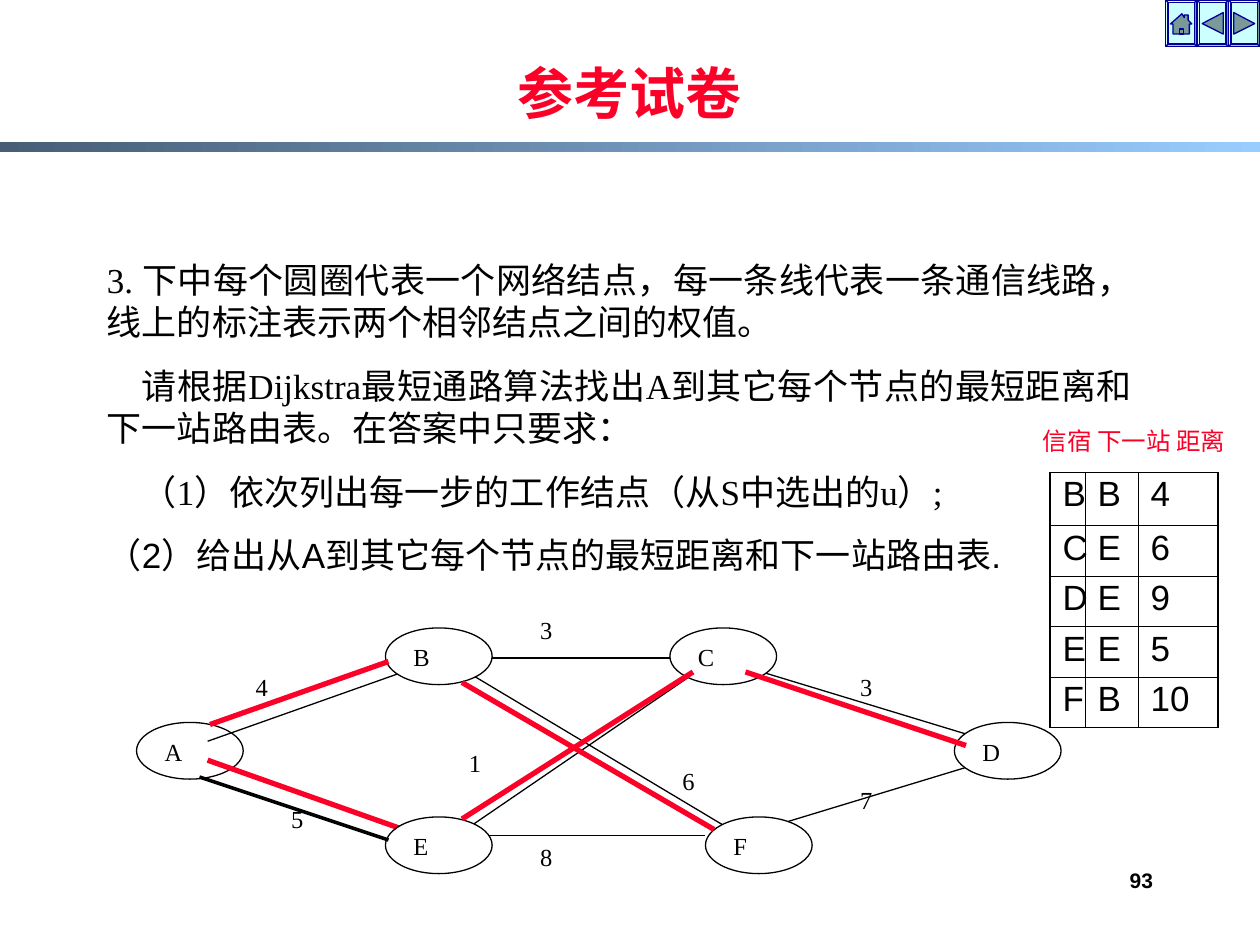
from lxml.etree import SubElement as Sub
from pptx import Presentation
from pptx.dml.color import RGBColor as Rgb
from pptx.enum.shapes import MSO_CONNECTOR as Conn, MSO_SHAPE as Kind
from pptx.enum.text import MSO_ANCHOR as Anchor, PP_ALIGN as Align
from pptx.oxml.ns import qn
from pptx.util import Pt

THEME = {
    "black": "000000", "white": "FFFFFF", "red": "FC0128",
    "dark": "475E76", "light": "99CCFF",
    "key": "CCFFFF", "navy": "000099", "icon": "7A9999",
    "sans": "Arial", "serif": "Times New Roman",
    "head": 32, "body": 20, "small": 14, "page": 12,
    "thin": 0.75, "bold": 2, "thick": 3, "inner": 0.45, "outer": 1.08,
}

TITLE = "参考试卷"
PAGE = "93"
BODY = [
    ("3. 下中每个圆圈代表一个网络结点，每一条线代表一条通信线路，线上的标注表示两个相邻结点之间的权值。", "serif", Align.JUSTIFY, 0),
    ("请根据Dijkstra最短通路算法找出A到其它每个节点的最短距离和下一站路由表。在答案中只要求：", "serif", Align.JUSTIFY, 20),
    ("（1）依次列出每一步的工作结点（从S中选出的u）;", "serif", Align.JUSTIFY, 20),
    ("（2）给出从A到其它每个节点的最短距离和下一站路由表.", "sans", Align.LEFT, 0),
]
HEADS = "信宿 下一站 距离"
ROUTES = [("B", "B", "4"), ("C", "E", "6"), ("D", "E", "9"), ("E", "E", "5"), ("F", "B", "10")]
COLS = [20, 30.3, 45.9]
ROWS = [30.4, 28.6, 28.6, 28.6, 28.6]

WEIGHTS = [
    ("4", 3, 3, 3, 3), ("3", 11, 0, 3, 3), ("3", 20, 3, 3, 3), ("5", 4, 10, 3, 3),
    ("8", 11, 12, 3, 3), ("7", 20, 9, 3, 3), ("1", 9, 7, 2, 3), ("6", 15, 8, 3, 4),
]
START = ("A", 0, 6)
NODES = [("B", 7, 1), ("C", 15, 1), ("D", 23, 6), ("E", 7, 11), ("F", 16, 11)]
EDGES = [
    (2, 7, 8, 3, "black", "thin"), (9, 2.6, 16, 2.6, "black", "thin"),
    (17, 3, 24, 7, "black", "thin"), (2, 8, 8, 12, "red", "thick"),
    (9, 12, 16, 12, "black", "thin"), (17, 12, 24, 8, "black", "thin"),
    (16, 3, 9, 12, "black", "thin"), (9, 3, 17, 12, "black", "thin"),
]
TREE = [
    (120, 414, 222, 378, "red", "thick"), (114, 444, 222, 480, "black", "bold"),
    (264, 468, 396, 384, "red", "thick"), (426, 384, 552, 426, "red", "thick"),
    (264, 390, 408, 474, "red", "thick"),
]
KEYS = [
    [[(9.4, 7.9), (10.8, 10.1), (10.8, 8.6), (13, 8.6), (13, 11.5), (15.1, 13.7),
      (13.7, 13.7), (13.7, 19.4), (4.3, 19.4), (4.3, 13.7), (2.9, 13.7)],
     [(7.9, 16.6), (10.1, 16.6), (10.1, 19.4), (7.9, 19.4)]],
    [[(3, 13.5), (15, 7.2), (15, 19.5)]],
    [[(3, 7.2), (15, 13.5), (3, 19.5)]],
]
LEFT, TOP, DX, DY = 78, 348, 20.32, 10.8
KEYW, KEYH, EDGE = 18, 26.7, 1.5

deck = Presentation()
deck.slide_width, deck.slide_height = Pt(720), Pt(540)
slide = deck.slides.add_slide(deck.slide_layouts[6])
shapes = slide.shapes


def tint(name):
    return Rgb.from_string(THEME[name])


def spot(col, row):
    return LEFT + col * DX, TOP + row * DY


def write(para, text, size, font="sans", color="black", bold=False, align=Align.LEFT):
    para.alignment = align
    run = para.add_run()
    run.text = text
    run.font.size = Pt(THEME[size])
    run.font.name = THEME[font]
    run.font.bold = bold
    run.font.color.rgb = tint(color)


def paint(shape, fill, line=None):
    shape.shadow.inherit = False
    shape.fill.solid()
    shape.fill.fore_color.rgb = tint(fill)
    if line:
        shape.line.color.rgb = tint(line)
        shape.line.width = Pt(THEME["thin"])
    else:
        shape.line.fill.background()


def box(x, y, w, h, anchor=Anchor.TOP):
    frame = shapes.add_textbox(Pt(x), Pt(y), Pt(w), Pt(h)).text_frame
    frame.word_wrap = True
    frame.vertical_anchor = anchor
    return frame


def label(kind, text, col, row, wide=3, high=3, line=None):
    x, y = spot(col, row)
    shape = shapes.add_shape(kind, Pt(x), Pt(y), Pt(wide * DX), Pt(high * DY))
    paint(shape, "white", line)
    frame = shape.text_frame
    frame.word_wrap = True
    frame.vertical_anchor = Anchor.TOP
    write(frame.paragraphs[0], text, "small", "serif", align=Align.JUSTIFY)


def link(x1, y1, x2, y2, color, width):
    line = shapes.add_connector(Conn.STRAIGHT, Pt(x1), Pt(y1), Pt(x2), Pt(y2))
    line.line.color.rgb = tint(color)
    line.line.width = Pt(THEME[width])
    Sub(line._element.spPr, qn("a:effectLst"))


def border(cell, sides):
    props = cell._tc.get_or_add_tcPr()
    for side, width in zip("LRTB", sides):
        line = Sub(props, qn("a:ln" + side), w=str(Pt(THEME[width])))
        Sub(Sub(line, qn("a:solidFill")), qn("a:srgbClr"), val=THEME["black"])


bar = shapes.add_shape(Kind.RECTANGLE, 0, Pt(81.4), Pt(720), Pt(5.4))
paint(bar, "dark")
bar.fill.gradient()
bar.fill.gradient_angle = 0
for stop, pos, name in zip(bar.fill.gradient_stops, (0, 1), ("dark", "light")):
    stop.position = pos
    stop.color.rgb = tint(name)

for i, icon in enumerate(KEYS):
    x = 720 - (len(KEYS) - i) * KEYW
    key = shapes.add_shape(Kind.BEVEL, Pt(x), 0, Pt(KEYW), Pt(KEYH))
    key.adjustments[0] = EDGE / KEYW
    paint(key, "key", "navy")
    for part in icon:
        first, *rest = [(Pt(x + px), Pt(py)) for px, py in part]
        pen = shapes.build_freeform(*first)
        pen.add_line_segments(rest, close=True)
        paint(pen.convert_to_shape(), "icon", "navy")

write(box(516, 492, 150, 36).paragraphs[0], PAGE, "page", bold=True, align=Align.RIGHT)
head = box(78, 9.4, 564, 66.2, Anchor.BOTTOM).paragraphs[0]
head.line_spacing = 1.5
write(head, TITLE, "head", color="red", bold=True, align=Align.CENTER)

frame = box(54, 144, 600, 188.6)
for i, (text, font, align, indent) in enumerate(BODY):
    para = frame.add_paragraph() if i else frame.paragraphs[0]
    para.space_before = Pt(12.5 if i else 0)
    para._p.get_or_add_pPr().set("indent", str(Pt(indent)))
    write(para, text, "body", font, align=align)

for item in WEIGHTS:
    label(Kind.RECTANGLE, *item)
label(Kind.OVAL, *START, line="black")
for c1, r1, c2, r2, color, width in EDGES:
    link(*spot(c1, r1), *spot(c2, r2), color, width)
for node in NODES:
    label(Kind.OVAL, *node, line="black")
for edge in TREE:
    link(*edge)

table = shapes.add_table(len(ROWS), len(COLS), Pt(600), Pt(270), Pt(sum(COLS)), Pt(sum(ROWS))).table
table.first_row = table.horz_banding = False
for col, width in zip(table.columns, COLS):
    col.width = Pt(width)
for r, (row, height) in enumerate(zip(ROUTES, ROWS)):
    table.rows[r].height = Pt(height)
    for c, text in enumerate(row):
        cell = table.cell(r, c)
        ends = (c == 0, c == len(COLS) - 1, r == 0, r == len(ROWS) - 1)
        border(cell, ["outer" if end else "inner" for end in ends])
        cell.fill.background()
        para = cell.text_frame.paragraphs[0]
        para.line_spacing = 0.9
        write(para, text, "body")

write(box(576, 240, 144, 24).paragraphs[0], HEADS, "small", color="red", align=Align.CENTER)

deck.save("out.pptx")
